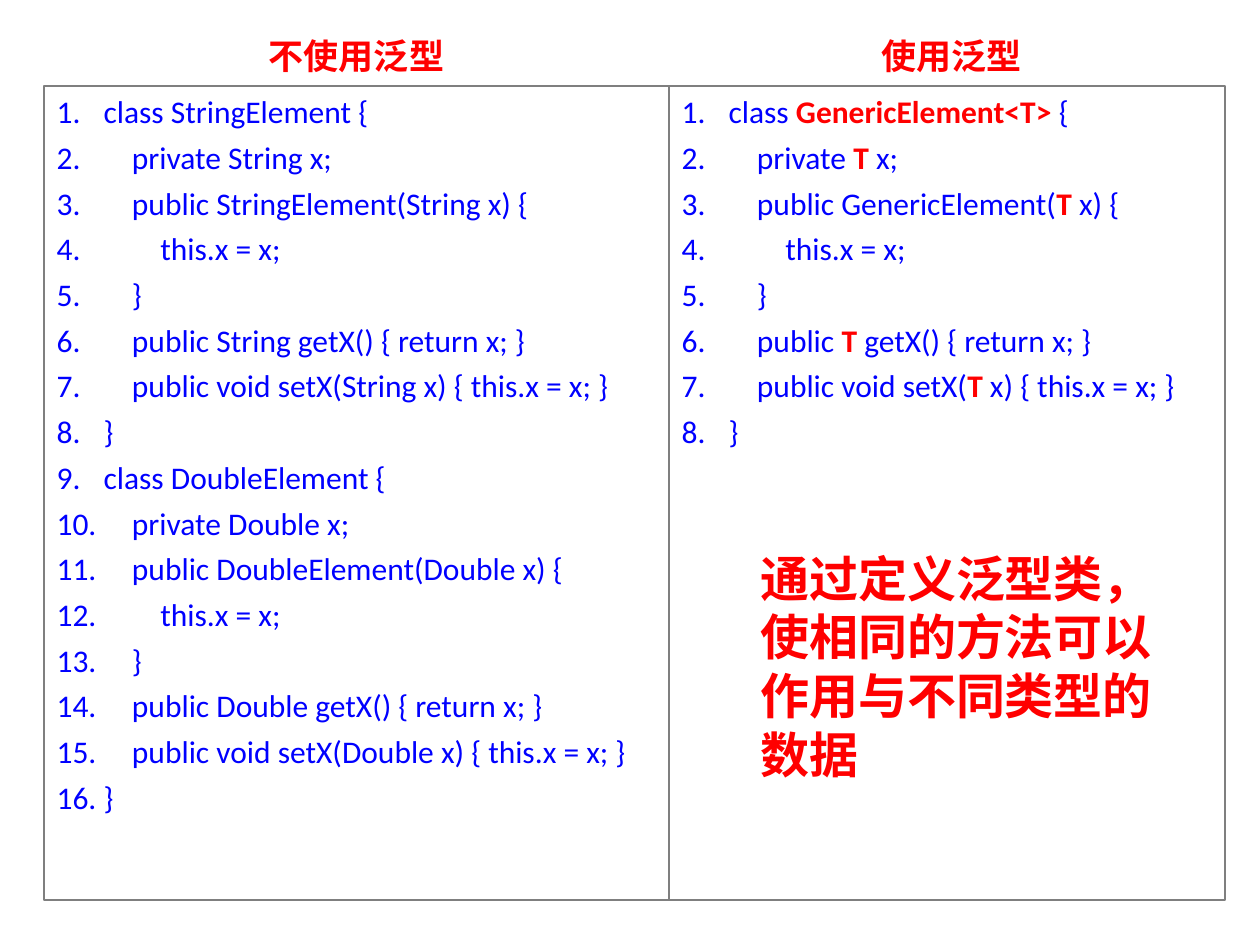
from lxml.etree import SubElement
from pptx import Presentation
from pptx.dml.color import RGBColor
from pptx.enum.text import MSO_ANCHOR, MSO_AUTO_SIZE, PP_ALIGN
from pptx.oxml.ns import qn
from pptx.util import Pt

PX = 914400 // 126
BLUE = RGBColor(0x00, 0x00, 0xFF)
RED = RGBColor(0xFF, 0x00, 0x00)
GRAY = RGBColor(0x7F, 0x7F, 0x7F)
CODE_FONT = "Calibri"
CHINESE_FONT = "Noto Sans CJK SC"
NUMBER_INDENT = 47
MARK = "|"


def element_class(name, kind, heading=None):
    return [
        f"class {heading or name} {{",
        f"    private {kind} x;",
        f"    public {name}({kind} x) {{",
        "        this.x = x;",
        "    }",
        f"    public {kind} getX() {{ return x; }}",
        f"    public void setX({kind} x) {{ this.x = x; }}",
        "}",
    ]


def place(shape, left, top, width, height):
    shape.left, shape.top = left * PX, top * PX
    shape.width, shape.height = width * PX, height * PX
    frame = shape.text_frame
    frame.word_wrap = True
    frame.auto_size = MSO_AUTO_SIZE.NONE
    frame.vertical_anchor = MSO_ANCHOR.TOP
    return frame


def style(span, face, size, color, bold):
    span.font.name = face
    span.font.size = Pt(size)
    span.font.color.rgb = color
    span.font.bold = bold
    if face == CHINESE_FONT:
        SubElement(span.font._element, qn("a:ea"), typeface=face)


def chinese_text(shape, box, text, size, align, line_height):
    frame = place(shape, *box)
    frame.text = text
    para = frame.paragraphs[0]
    para.alignment = align
    para.space_before = Pt(0)
    para.line_spacing = Pt(line_height)
    style(para.runs[0], CHINESE_FONT, size, RED, True)


def number_line(para):
    props = para._p.get_or_add_pPr()
    props.set("marL", str(NUMBER_INDENT * PX))
    props.set("indent", str(-NUMBER_INDENT * PX))
    color = SubElement(props, qn("a:buClr"))
    SubElement(color, qn("a:srgbClr"), val=str(BLUE))
    SubElement(props, qn("a:buFont"), typeface=CODE_FONT)
    SubElement(props, qn("a:buAutoNum"), type="arabicPeriod")


def code_panel(shape, box, lines):
    frame = place(shape, *box)
    shape.line.color.rgb = GRAY
    shape.line.width = Pt(0.75)
    for index, line in enumerate(lines):
        para = frame.add_paragraph() if index else frame.paragraphs[0]
        para.space_before = Pt(4.5 if index else 0)
        number_line(para)
        for part, text in enumerate(line.split(MARK)):
            span = para.add_run()
            span.text = text
            marked = part % 2 == 1
            style(span, CODE_FONT, 18, RED if marked else BLUE, marked)


def column(heading, body, box, title, title_offset, lines):
    left, top, width, height = box
    title_box = (left + title_offset, top - 59, width - title_offset, 55)
    chinese_text(heading, title_box, title, 20, PP_ALIGN.CENTER, 24.4)
    code_panel(body, box, lines)


def main():
    deck = Presentation()
    deck.slide_width, deck.slide_height = 1260 * PX, 945 * PX
    page = deck.slides.add_slide(deck.slide_layouts[4])
    title, left_head, left_body, right_head, right_body = page.placeholders
    title._element.getparent().remove(title._element)

    column(left_head, left_body, (44, 86, 625, 814), "不使用泛型", 0,
           element_class("StringElement", "String")
           + element_class("DoubleElement", "Double"))
    column(right_head, right_body, (669, 86, 556, 814), "使用泛型", 10,
           element_class("GenericElement", "|T|", "|GenericElement<T>|"))

    note = page.shapes.add_textbox(0, 0, 0, 0)
    chinese_text(note, (748, 542, 437, 248),
                 "通过定义泛型类，使相同的方法可以作用与不同类型的数据",
                 28, PP_ALIGN.LEFT, 33.6)
    deck.save("out.pptx")


if __name__ == "__main__":
    main()
